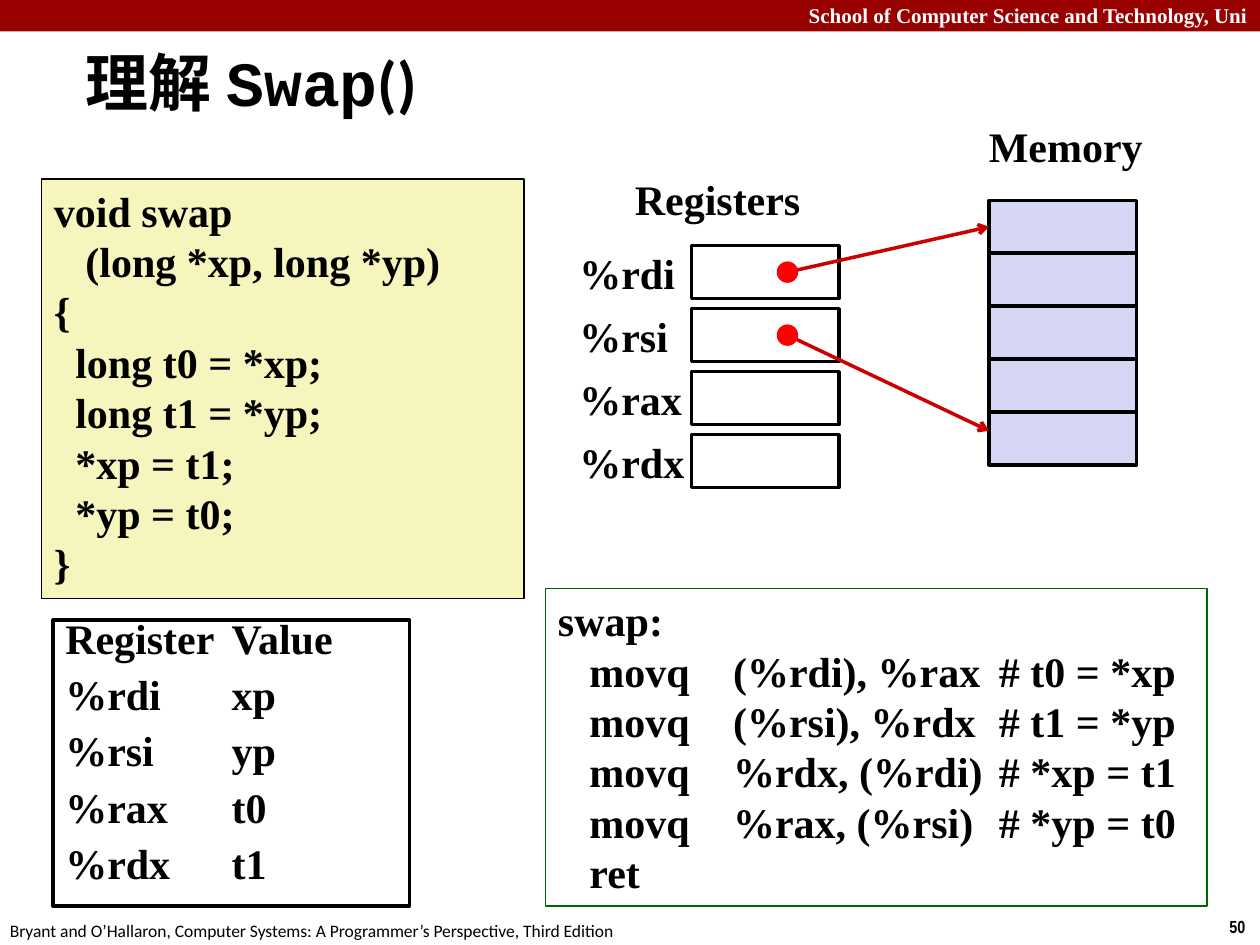
from lxml import etree
from pptx import Presentation
from pptx import util as u
from pptx.dml.color import RGBColor
from pptx.enum import shapes, text
from pptx.oxml.ns import qn

SERIF = "Times New Roman"

# Content
HEADER = "School of Computer Science and Technology, Uni"
FOOTER = "Bryant and O’Hallaron, Computer Systems: A Programmer’s Perspective, Third Edition"
PAGE = "50"
TITLE = [("理解", "Calibri"), ("Swap", "Courier New"), ("()", "Calibri")]
C_CODE = [
    "void swap",
    "\t\t(long *xp, long *yp)",
    "{",
    "\tlong t0 = *xp;",
    "\tlong t1 = *yp;",
    "\t*xp = t1;",
    "\t*yp = t0;",
    "}",
]
ASSEMBLY = [
    "swap:",
    "\tmovq\t(%rdi), %rax\t# t0 = *xp",
    "\tmovq\t(%rsi), %rdx\t# t1 = *yp",
    "\tmovq\t%rdx, (%rdi)\t# *xp = t1",
    "\tmovq\t%rax, (%rsi)\t# *yp = t0",
    "\tret",
]
REGISTERS = [("%rdi", "xp"), ("%rsi", "yp"), ("%rax", "t0"), ("%rdx", "t1")]
MEMORY_CELLS = 5

# Grid of the diagram
CELL_W, CELL_H = 1.17, 0.42
LABEL_X, LABEL_W = 4.5, 0.99
REG_X, REG_Y, REG_PITCH = 5.49, 1.95, 0.5
MEM_X, MEM_Y = 7.85, 1.59
DOT_X, DOT = 6.25, 0.17

prs = Presentation()
prs.slide_width, prs.slide_height = u.Inches(10), u.Inches(7.5)
slide = prs.slides.add_slide(prs.slide_layouts[6])


def rgb(color):
    return RGBColor.from_string(color)


def inches(*lengths):
    return [u.Inches(length) for length in lengths]


def style(run, font=SERIF, size=24, color="000000", bold=True):
    run.font.name, run.font.size, run.font.bold = font, u.Pt(size), bold
    run.font.color.rgb = rgb(color)


def set_tabs(paragraph, stops):
    tab_list = etree.SubElement(paragraph._p.get_or_add_pPr(), qn("a:tabLst"))
    for stop in stops:
        etree.SubElement(tab_list, qn("a:tab"), pos=str(u.Inches(stop)), algn="l")


def write(shape, lines, wrap=True, anchor=text.MSO_ANCHOR.TOP, align=text.PP_ALIGN.LEFT,
          tabs=(), spacing=None, before=None, **font):
    frame = shape.text_frame
    frame.text = "\n".join(lines)
    frame.word_wrap, frame.vertical_anchor = wrap, anchor
    for paragraph in frame.paragraphs:
        paragraph.alignment = align
        if spacing:
            paragraph.line_spacing = spacing
        if before:
            paragraph.space_before = u.Pt(before)
        if tabs:
            set_tabs(paragraph, tabs)
        for run in paragraph.runs:
            style(run, **font)


def label(at, line, **options):
    write(slide.shapes.add_textbox(*inches(*at)), [line], **options)


def block(at, fill=None, line=None, weight=2, kind=shapes.MSO_SHAPE.RECTANGLE):
    shape = slide.shapes.add_shape(kind, *inches(*at))
    shape.shadow.inherit = False
    if fill:
        shape.fill.solid()
        shape.fill.fore_color.rgb = rgb(fill)
    else:
        shape.fill.background()
    if line:
        shape.line.color.rgb = rgb(line)
        shape.line.width = u.Pt(weight)
    else:
        shape.line.fill.background()
    return shape


def arrow(start, end):
    connector = slide.shapes.add_connector(
        shapes.MSO_CONNECTOR.STRAIGHT, *inches(*start, *end))
    connector.line.color.rgb = rgb("CC0000")
    connector.line.width = u.Pt(2)
    etree.SubElement(connector.line._get_or_add_ln(), qn("a:tailEnd"), type="arrow")
    etree.SubElement(connector._element.spPr, qn("a:effectLst"))
    return connector


# Header, footer and page number
block((0, 0, 10, 0.25), fill="990000")
label((0, -0.03, 10, 0.3), HEADER, align=text.PP_ALIGN.RIGHT, size=12, color="FFFFFF")
label((9.66, 7.22, 0.34, 0.27), PAGE, wrap=False, font="Arial Narrow", size=10)
label((-0.02, 7.25, 5.08, 0.27), FOOTER, wrap=False, font="Calibri", size=10, bold=False)

# Title
title = slide.shapes.add_textbox(*inches(0.58, 0.33, 6.97, 0.63)).text_frame
title.word_wrap, title.vertical_anchor = True, text.MSO_ANCHOR.MIDDLE
for part, font in TITLE:
    run = title.paragraphs[0].add_run()
    run.text = part
    style(run, font, 36)

# C code, register table and assembly
write(block((0.33, 1.42, 3.83, 3.33), "F6F5BD", "000000", 1), C_CODE, tabs=(0.17, 0.25))
write(block((0.42, 4.92, 2.83, 2.27), line="000000"),
      ["\t".join(row) for row in [("Register", "Value")] + REGISTERS],
      tabs=(1.32,), spacing=0.7, before=12)
write(block((4.33, 4.67, 5.25, 2.52), line="006600", weight=1), ASSEMBLY,
      tabs=(0.25, 1.39, 3.5))

# Registers
label((4.94, 1.33, 1.53, 0.5), "Registers", wrap=False)
for i, (register, _) in enumerate(REGISTERS):
    y = REG_Y + i * REG_PITCH
    write(block((LABEL_X, y, LABEL_W, CELL_H), "FFFFFF"), [register],
          wrap=False, anchor=text.MSO_ANCHOR.MIDDLE)
    block((REG_X, y, CELL_W, CELL_H), "FFFFFF", "000000")

# Memory
label((7.75, 0.91, 1.43, 0.5), "Memory", wrap=False)
memory = [block((MEM_X, MEM_Y + i * CELL_H, CELL_W, CELL_H), "D6D6F5", "000000")
          for i in range(MEMORY_CELLS)]

# Pointers from %rdi and %rsi into memory
dot_ys = [REG_Y + i * REG_PITCH + CELL_H / 2 for i in range(2)]
xp_arrow = arrow((DOT_X, dot_ys[0]), (MEM_X, MEM_Y + CELL_H / 2))
xp_arrow.end_connect(memory[0], 1)
arrow((DOT_X, dot_ys[1]), (MEM_X, 3.42))
for y in dot_ys:
    block((DOT_X - DOT / 2, y - DOT / 2, DOT, DOT), "FF0000", kind=shapes.MSO_SHAPE.OVAL)

prs.save("out.pptx")
